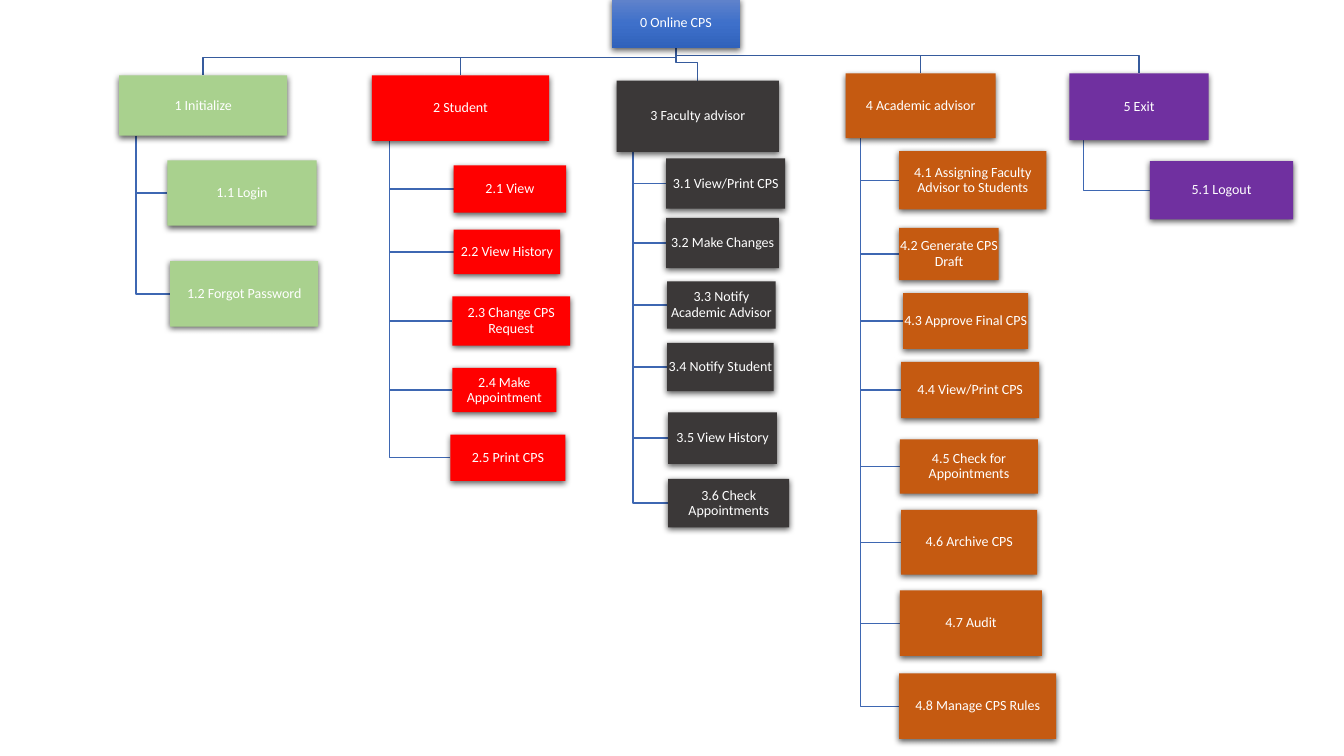
"""Build the Online CPS function hierarchy slide."""
from copy import deepcopy

from lxml import etree
from pptx import Presentation
from pptx import util as u
from pptx.dml.color import RGBColor
from pptx.enum import shapes, text
from pptx.oxml import ns

COLORS = {
    "white": "FFFFFF", "black": "000000",
    "trunk": "365B9D", "twig": "3E67B2",
    "root_top": "6183CB", "root_mid": "3E70CA", "root_end": "3062BB",
    "initialize": "A9D18E", "student": "FF0000", "faculty": "3B3838",
    "academic": "C55A11", "exit": "7030A0",
}

ROOT = ("0 Online CPS", 15.42, -0.03, 3.23, 1.24)

BRANCHES = [
    ("initialize", ("1 Initialize", 3, 1.9, 4.24, 1.52), [
        ("1.1 Login", 4.22, 4.04, 3.76, 1.65),
        ("1.2 Forgot Password", 4.29, 6.58, 3.73, 1.65),
    ]),
    ("student", ("2 Student", 9.37, 1.9, 4.47, 1.65), [
        ("2.1 View", 11.43, 4.17, 2.84, 1.19),
        ("2.2 View History", 11.43, 5.79, 2.69, 1.12),
        ("2.3 Change CPS Request", 11.4, 7.47, 2.97, 1.24),
        ("2.4 Make Appointment", 11.4, 9.27, 2.62, 1.12),
        ("2.5 Print CPS", 11.35, 10.95, 2.9, 1.17),
    ]),
    ("faculty", ("3 Faculty advisor", 15.54, 2.03, 4.09, 1.8), [
        ("3.1 View/Print CPS", 16.79, 3.99, 3, 1.27),
        ("3.2 Make Changes", 16.79, 5.49, 2.84, 1.27),
        ("3.3 Notify Academic Advisor", 16.81, 7.09, 2.74, 1.19),
        ("3.4 Notify Student", 16.81, 8.64, 2.69, 1.22),
        ("3.5 View History", 16.84, 10.39, 2.74, 1.3),
        ("3.6 Check Appointments", 16.84, 12.07, 3.05, 1.22),
    ]),
    ("academic", ("4 Academic advisor", 21.31, 1.85, 3.78, 1.63), [
        ("4.1 Assigning Faculty Advisor to Students", 22.66, 3.81, 3.71, 1.47),
        ("4.2 Generate CPS Draft", 22.66, 5.74, 2.51, 1.32),
        ("4.3 Approve Final CPS", 22.76, 7.39, 3.15, 1.4),
        ("4.4 View/Print CPS", 22.71, 9.12, 3.48, 1.42),
        ("4.5 Check for Appointments", 22.68, 11.07, 3.48, 1.37),
        ("4.6 Archive CPS", 22.71, 12.85, 3.43, 1.63),
        ("4.7 Audit", 22.68, 14.88, 3.58, 1.65),
        ("4.8 Manage CPS Rules", 22.66, 16.97, 3.96, 1.65),
    ]),
    ("exit", ("5 Exit", 26.95, 1.85, 3.51, 1.68), [
        ("5.1 Logout", 28.98, 4.06, 3.61, 1.47),
    ]),
]


def rgb(name):
    return RGBColor.from_string(COLORS[name])


def add_path(s, points, color):
    pts = [(u.Cm(x), u.Cm(y)) for x, y in points]
    fb = s.shapes.build_freeform(*pts[0])
    fb.add_line_segments(pts[1:], close=False)
    sp = fb.convert_to_shape()
    sp.shadow.inherit = False
    sp.fill.background()
    sp.line.color.rgb = rgb(color)
    sp.line.width = u.Pt(1)


def add_trunk(s, parent, child):
    _, px, py, pw, ph = parent
    _, cx, cy, cw, _ = child
    start, end, bend = px + pw / 2, cx + cw / 2, cy - 0.45
    add_path(s, [(start, py + ph), (start, bend), (end, bend), (end, cy)], "trunk")


def add_twig(s, parent, child):
    _, px, py, pw, ph = parent
    _, cx, cy, _, ch = child
    spine, middle = px + pw / 10, cy + ch / 2
    add_path(s, [(spine, py + ph), (spine, middle), (cx, middle)], "twig")


def add_shadow(sp):
    sp.shadow.inherit = False
    effects = sp._element.spPr.find(ns.qn("a:effectLst"))
    shadow = etree.SubElement(effects, ns.qn("a:outerShdw"), blurRad=str(u.Pt(4.5)),
                              dist=str(u.Pt(1.5)), dir="5400000", algn="ctr", rotWithShape="0")
    color = etree.SubElement(shadow, ns.qn("a:srgbClr"), val=COLORS["black"])
    etree.SubElement(color, ns.qn("a:alpha"), val="63000")


def fill_gradient(sp, names):
    sp.fill.gradient()
    sp.fill.gradient_angle = 270
    stops = sp._element.spPr.find(".//" + ns.qn("a:gsLst"))
    stops.insert(1, deepcopy(stops[0]))
    for i, (stop, name) in enumerate(zip(sp.fill.gradient_stops, names)):
        stop.position = i / (len(names) - 1)
        stop.color.rgb = rgb(name)


def add_box(s, box, color=None):
    label, *place = box
    sp = s.shapes.add_shape(shapes.MSO_SHAPE.RECTANGLE, *map(u.Cm, place))
    if color:
        sp.fill.solid()
        sp.fill.fore_color.rgb = rgb(color)
    else:
        fill_gradient(sp, ["root_top", "root_mid", "root_end"])
    sp.line.fill.background()
    add_shadow(sp)
    tf = sp.text_frame
    tf.word_wrap = True
    tf.vertical_anchor = text.MSO_ANCHOR.MIDDLE
    tf.margin_left = tf.margin_right = tf.margin_top = tf.margin_bottom = u.Cm(0.02)
    tf.text = label
    p = tf.paragraphs[0]
    p.alignment = text.PP_ALIGN.CENTER
    p.line_spacing = 0.9
    p.space_after = u.Pt(3.5)
    r = p.runs[0]
    r.font.name = "Calibri"
    r.font.size = u.Pt(10)
    r.font.color.rgb = rgb("white")


def main():
    prs = Presentation()
    prs.slide_width, prs.slide_height = u.Cm(33.87), u.Cm(19.05)
    s = prs.slides.add_slide(prs.slide_layouts[6])
    for _, head, items in BRANCHES:
        add_trunk(s, ROOT, head)
        for item in items:
            add_twig(s, head, item)
    add_box(s, ROOT)
    for color, head, items in BRANCHES:
        for box in [head, *items]:
            add_box(s, box, color)
    prs.save("out.pptx")


main()
